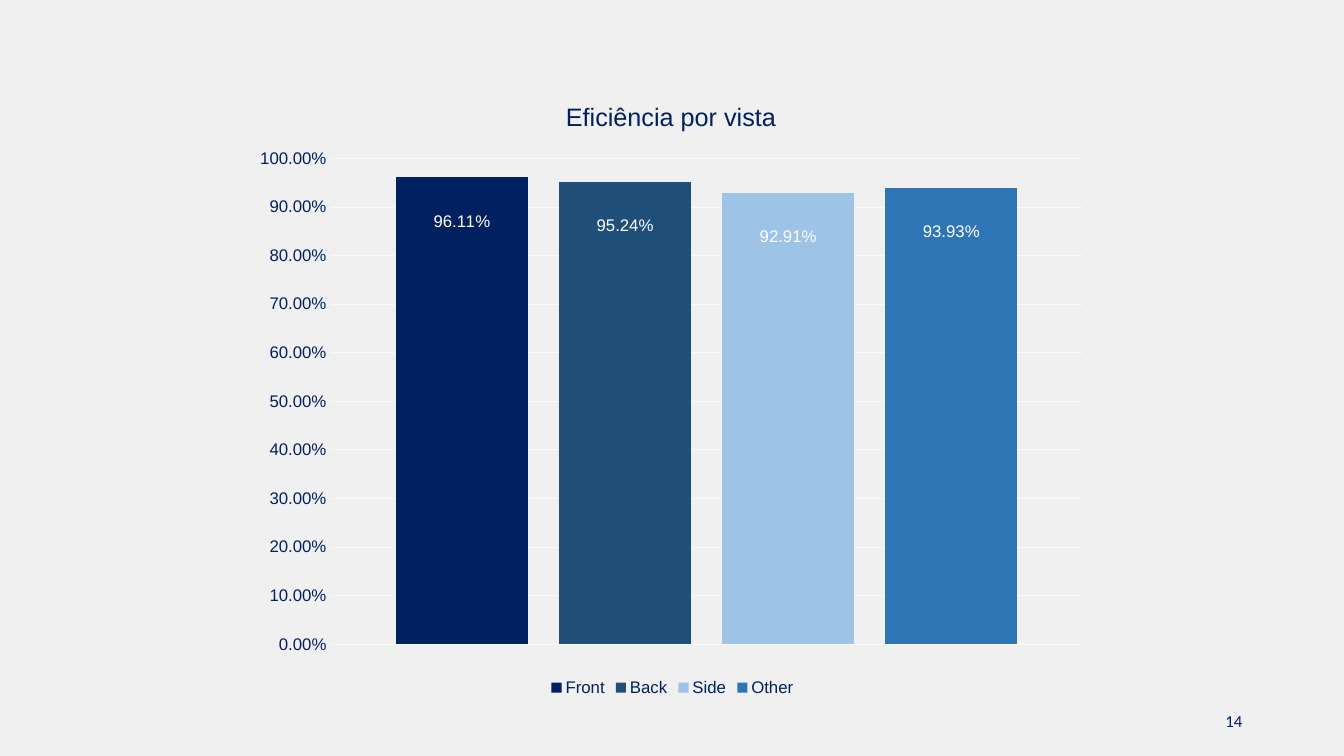
from dataclasses import dataclass

from lxml.etree import SubElement
from pptx import Presentation
from pptx.chart.data import CategoryChartData
from pptx.dml.color import RGBColor
from pptx.enum.chart import (XL_CHART_TYPE as ChartType, XL_LABEL_POSITION as LabelPosition,
                             XL_LEGEND_POSITION as LegendPosition, XL_TICK_MARK as TickMark)
from pptx.enum.text import MSO_ANCHOR as Anchor, PP_ALIGN as Align
from pptx.oxml.ns import qn
from pptx.util import Inches, Pt


@dataclass(frozen=True)
class Theme:
    background: str = "F0F0F0"
    ink: str = "002060"
    grid: str = "F9F9F9"
    label: str = "FFFFFF"
    chart_font: str = "Arial"
    number_font: str = "Calibri"
    title_size: int = 18
    text_size: int = 12


THEME = Theme()
PERCENT = "0.00%"
LABEL_DROP = 0.05  # share of the chart height
VIEWS = [  # name, efficiency, colour
    ("Front", 0.9611, "002060"),
    ("Back", 0.9524, "1F4E79"),
    ("Side", 0.9291, "9DC3E6"),
    ("Other", 0.9393, "2E75B6"),
]


def rgb(value):
    return RGBColor.from_string(value)


def style_font(font, size, color, name):
    font.size, font.name, font.bold = Pt(size), name, False
    font.color.rgb = rgb(color)


def set_layout(parent, before, **settings):
    """Place a chart part by hand, with its layout element ahead of the given sibling."""
    for old in parent.findall(qn("c:layout")):
        parent.remove(old)
    layout = SubElement(parent, qn("c:layout"))
    manual = SubElement(layout, qn("c:manualLayout"))
    for key, value in settings.items():
        SubElement(manual, qn(f"c:{key}")).set("val", str(value))
    parent.find(qn(before)).addprevious(layout)


def style_series(series, color):
    series.format.fill.solid()
    series.format.fill.fore_color.rgb = rgb(color)
    labels = series.data_labels
    labels.show_value = True
    labels.number_format, labels.number_format_is_linked = PERCENT, False
    point_label = series.points[0].data_label
    for label in (labels, point_label):
        label.position = LabelPosition.INSIDE_END
        style_font(label.font, THEME.text_size, THEME.label, THEME.chart_font)
    for leader in labels._element.findall(qn("c:showLeaderLines")):
        leader.set("val", "0")
    for element in labels._element.findall(qn("c:dLbl")):
        set_layout(element, "c:spPr" if element.find(qn("c:spPr")) is not None else "c:txPr",
                   x=0, y=LABEL_DROP)


def style_axes(chart):
    chart.category_axis.visible = False
    axis = chart.value_axis
    axis.minimum_scale, axis.maximum_scale, axis.major_unit = 0, 1, 0.1
    axis.major_tick_mark = axis.minor_tick_mark = TickMark.NONE
    axis.format.line.fill.background()
    axis.major_gridlines.format.line.color.rgb = rgb(THEME.grid)
    axis.major_gridlines.format.line.width = Pt(0.75)
    axis.tick_labels.number_format = PERCENT
    axis.tick_labels.number_format_is_linked = False
    style_font(axis.tick_labels.font, THEME.text_size, THEME.ink, THEME.chart_font)


def add_title(chart, text):
    span = chart.chart_title.text_frame.paragraphs[0].add_run()
    span.text = text
    style_font(span.font, THEME.title_size, THEME.ink, THEME.chart_font)
    chart.chart_title.include_in_layout = False
    set_layout(chart.chart_title._element, "c:overlay",
               xMode="edge", yMode="edge", x=0.37, y=0.03)


def add_efficiency_chart(page, box):
    data = CategoryChartData(number_format=PERCENT)
    data.categories = ["1"]
    for name, value, _ in VIEWS:
        data.add_series(name, [value])
    chart = page.shapes.add_chart(ChartType.COLUMN_CLUSTERED, *box, data).chart
    style_font(chart.font, THEME.text_size, THEME.ink, THEME.chart_font)
    add_title(chart, "Eficiência por vista")
    style_axes(chart)

    plot = chart.plots[0]
    plot.gap_width, plot.overlap, plot.vary_by_categories = 100, -24, False
    for series, (_, _, color) in zip(plot.series, VIEWS):
        style_series(series, color)
    plot_area = chart._chartSpace.chart.plotArea
    set_layout(plot_area, "c:barChart", layoutTarget="inner", xMode="edge", yMode="edge",
               x=0.1, y=0.13, w=0.88, h=0.78)

    chart.has_legend = True
    chart.legend.position = LegendPosition.BOTTOM
    chart.legend.include_in_layout = False
    style_font(chart.legend.font, THEME.text_size, THEME.ink, THEME.chart_font)


def add_page_number(page, box, number):
    frame = page.shapes.add_textbox(*box).text_frame
    frame.word_wrap = True
    frame.vertical_anchor = Anchor.MIDDLE
    para = frame.paragraphs[0]
    para.alignment = Align.RIGHT
    span = para.add_run()
    span.text = number
    style_font(span.font, THEME.text_size, THEME.ink, THEME.number_font)


def main():
    deck = Presentation()
    deck.slide_width, deck.slide_height = Inches(13.33), Inches(7.5)
    page = deck.slides.add_slide(deck.slide_layouts[6])
    page.background.fill.solid()
    page.background.fill.fore_color.rgb = rgb(THEME.background)
    add_page_number(page, map(Inches, (9.42, 6.95, 3, 0.4)), "14")
    add_efficiency_chart(page, map(Inches, (2.43, 0.77, 8.48, 6.18)))
    deck.save("out.pptx")


if __name__ == "__main__":
    main()
